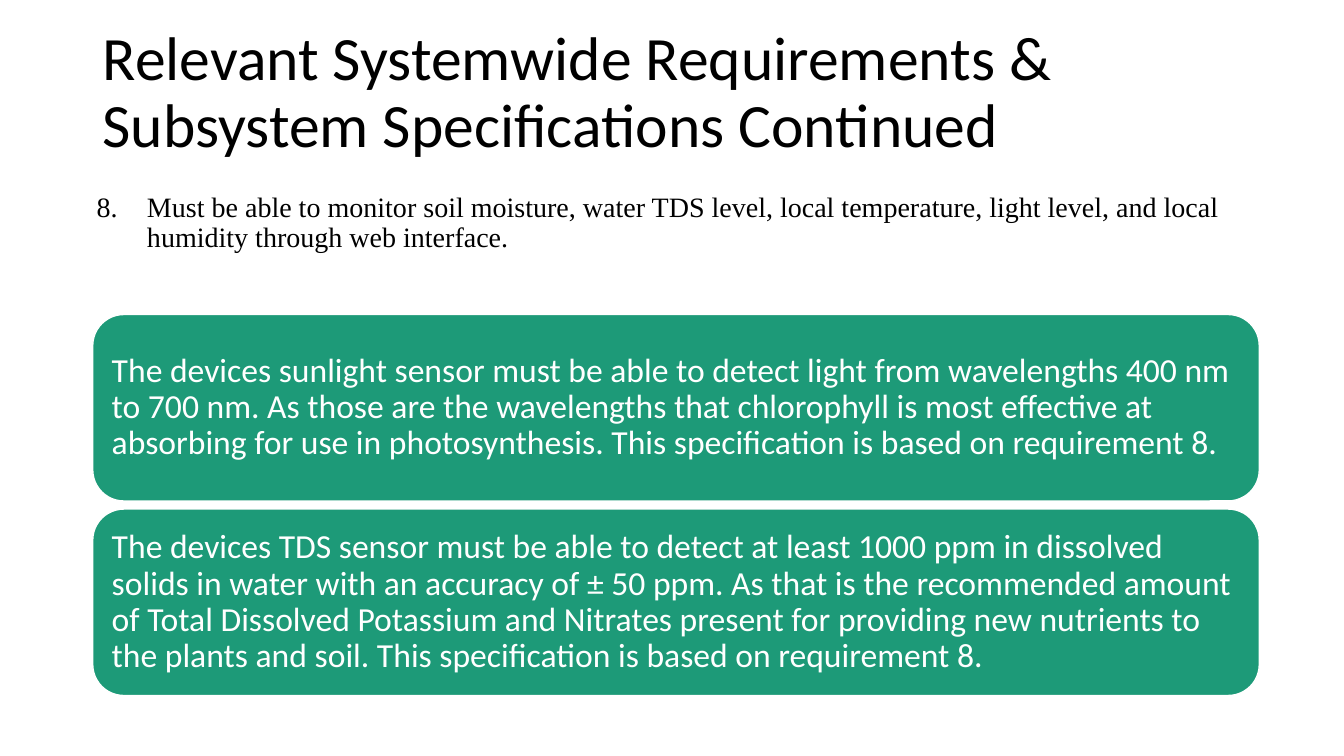
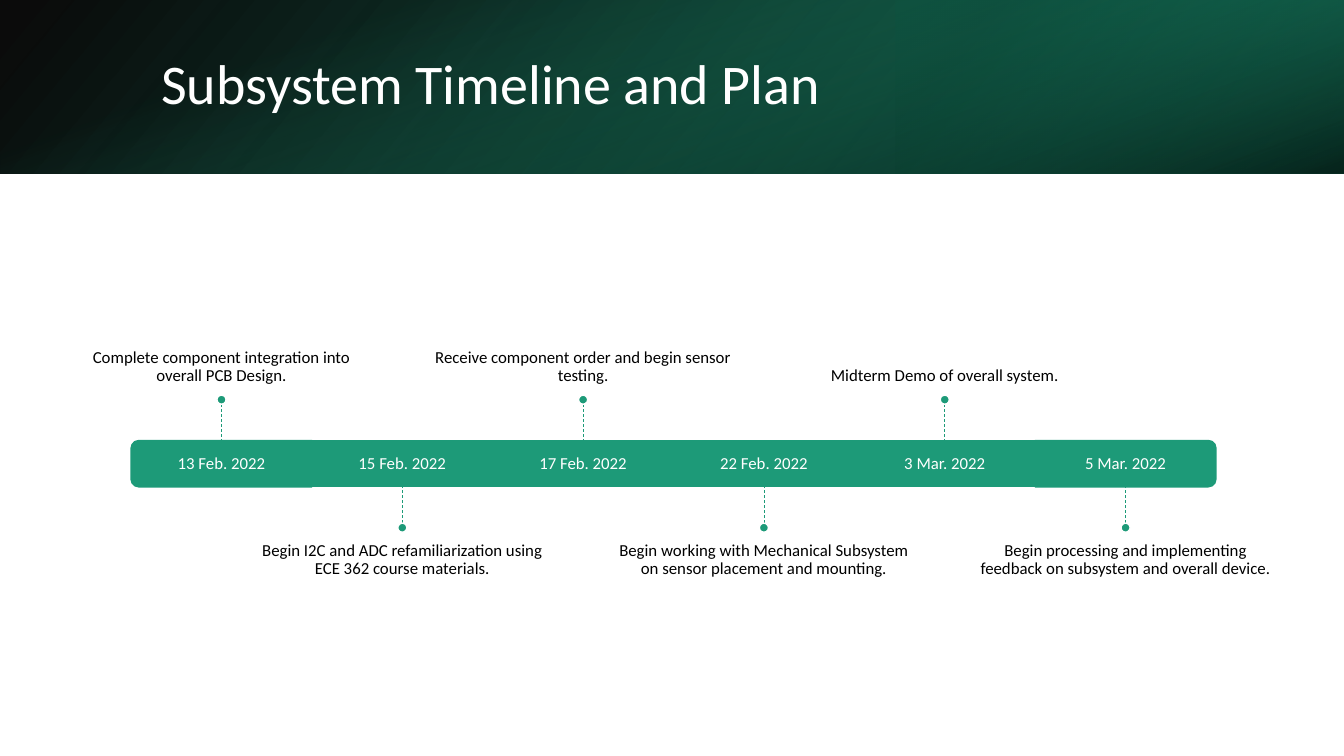
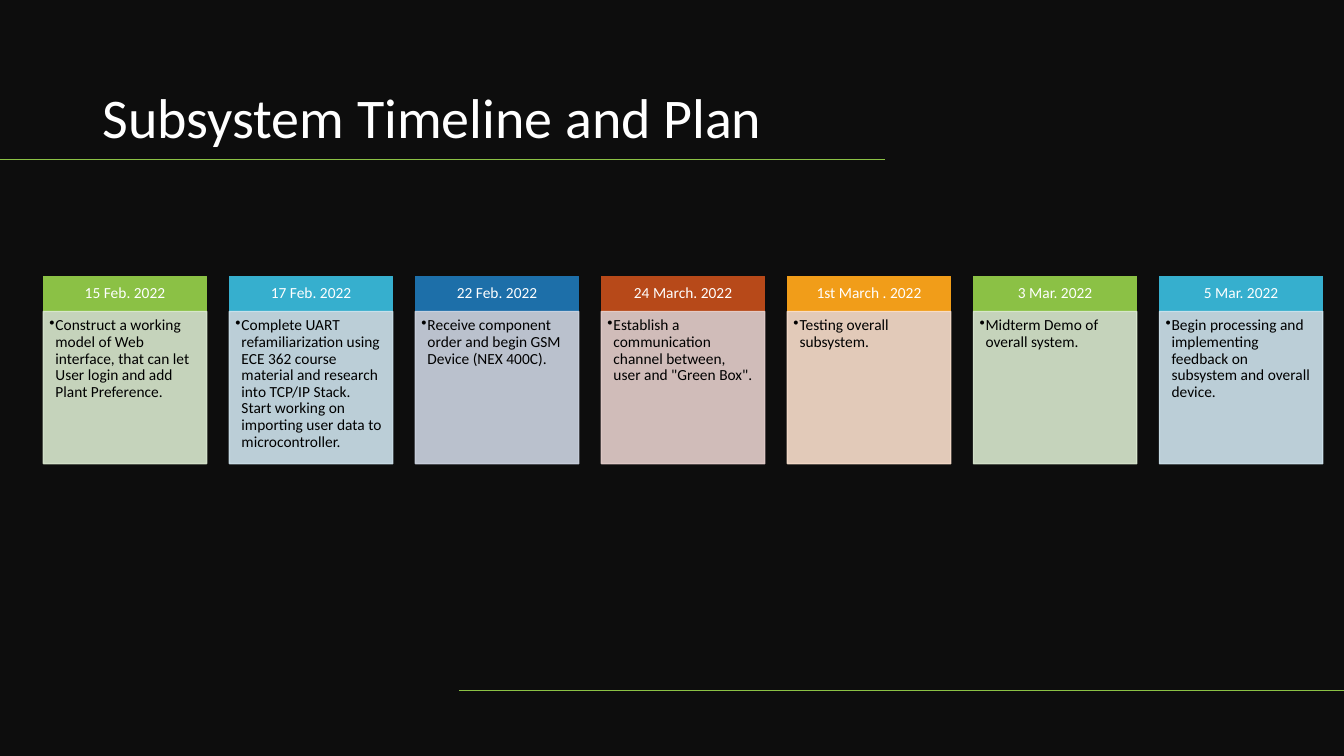
import dataclasses

import lxml.etree
import pptx
import pptx.dml.color
import pptx.enum.dml
import pptx.enum.shapes
import pptx.enum.text
import pptx.oxml.ns
import pptx.util

RGBColor = pptx.dml.color.RGBColor
SHAPE = pptx.enum.shapes.MSO_SHAPE
ANCHOR = pptx.enum.text.MSO_ANCHOR
ALIGN = pptx.enum.text.PP_ALIGN
Inches = pptx.util.Inches
qn = pptx.oxml.ns.qn

BLACK = RGBColor(0x00, 0x00, 0x00)
WHITE = RGBColor(0xFF, 0xFF, 0xFF)
NIGHT = RGBColor(0x0D, 0x0D, 0x0D)
GREEN = RGBColor(0x1D, 0x9A, 0x78)
MID_GREEN = RGBColor(0x16, 0x74, 0x5A)
DEEP_GREEN = RGBColor(0x0E, 0x4D, 0x3C)
LIME = RGBColor(0x8B, 0xC1, 0x45)
PALE_LIME = RGBColor(0xDA, 0xE9, 0xCF)
CYAN = RGBColor(0x36, 0xAF, 0xCE)
PALE_CYAN = RGBColor(0xCE, 0xE3, 0xED)
BLUE = RGBColor(0x1D, 0x6F, 0xA9)
PALE_BLUE = RGBColor(0xCD, 0xD5, 0xE2)
RUST = RGBColor(0xB7, 0x49, 0x19)
PALE_RUST = RGBColor(0xE6, 0xD0, 0xCC)
ORANGE = RGBColor(0xF1, 0x9D, 0x19)
PALE_ORANGE = RGBColor(0xFA, 0xDF, 0xCC)
CARD_COLOURS = [(LIME, PALE_LIME), (CYAN, PALE_CYAN), (BLUE, PALE_BLUE),
                (RUST, PALE_RUST), (ORANGE, PALE_ORANGE)]

BODY_FONT = "Calibri"
LIST_FONT = "Times New Roman"
DEFAULT_INSETS = (0.1, 0.05, 0.1, 0.05)

REQUIREMENT = ("Must be able to monitor soil moisture, water TDS level, local temperature, "
               "light level, and local humidity through web interface.")
SPECIFICATIONS = [
    "The devices sunlight sensor must be able to detect light from wavelengths 400 nm to "
    "700 nm. As those are the wavelengths that chlorophyll is most effective at absorbing "
    "for use in photosynthesis. This specification is based on requirement 8.",
    "The devices TDS sensor must be able to detect at least 1000 ppm in dissolved solids in "
    "water with an accuracy of ± 50 ppm. As that is the recommended amount of Total Dissolved "
    "Potassium and Nitrates present for providing new nutrients to the plants and soil. This "
    "specification is based on requirement 8.",
]
SENSOR_EVENTS = [
    ("13 Feb. 2022", "Complete component integration into overall PCB Design."),
    ("15 Feb. 2022", "Begin I2C and ADC refamiliarization using ECE 362 course materials."),
    ("17 Feb. 2022", "Receive component order and begin sensor testing."),
    ("22 Feb. 2022", "Begin working with Mechanical Subsystem on sensor placement and mounting."),
    ("3 Mar. 2022", "Midterm Demo of overall system."),
    ("5 Mar. 2022", "Begin processing and implementing feedback on subsystem and overall device."),
]
INTERFACE_EVENTS = [
    ("15 Feb. 2022", "Construct a working model of Web interface, that can let User login "
                     "and add Plant Preference."),
    ("17 Feb. 2022", "Complete UART refamiliarization using ECE 362 course material and "
                     "research into TCP/IP Stack. Start working on importing user data to "
                     "microcontroller."),
    ("22 Feb. 2022", "Receive component order and begin GSM Device (NEX 400C)."),
    ("24 March. 2022", 'Establish a communication channel between, user and "Green Box".'),
    ("1st March . 2022", "Testing overall subsystem."),
    ("3 Mar. 2022", "Midterm Demo of overall system."),
    ("5 Mar. 2022", "Begin processing and implementing feedback on subsystem and overall device."),
]


@dataclasses.dataclass
class Box:
    """A region on a grid whose columns and rows are one inch."""
    left: float
    top: float
    width: float
    height: float

    @property
    def right(self):
        return self.left + self.width

    @property
    def bottom(self):
        return self.top + self.height

    @property
    def centre(self):
        return self.left + self.width / 2

    def emu(self):
        return [Inches(n) for n in (self.left, self.top, self.width, self.height)]

    def columns(self, count, width):
        """Equal columns of the given width, spread from edge to edge."""
        pitch = (self.width - width) / (count - 1)
        return [Box(self.left + i * pitch, self.top, width, self.height) for i in range(count)]

    def rows(self, count, height):
        pitch = (self.height - height) / (count - 1)
        return [Box(self.left, self.top + i * pitch, self.width, height) for i in range(count)]

    def split(self, height):
        return (Box(self.left, self.top, self.width, height),
                Box(self.left, self.top + height, self.width, self.height - height))

    def turned(self):
        """The unrotated frame that fills this box after a quarter turn."""
        middle = self.top + self.height / 2
        return Box(self.centre - self.height / 2, middle - self.width / 2,
                   self.height, self.width)


PAGE = Box(0, 0, 13.33, 7.5)


def set_opacity(colour, percent):
    lxml.etree.SubElement(colour, qn("a:alpha")).set("val", str(percent * 1000))


def add_block(slide, box, fill=None, line=None, kind=SHAPE.RECTANGLE, rotation=0):
    block = slide.shapes.add_shape(kind, *box.emu())
    block.shadow.inherit = False
    block.rotation = rotation
    if fill is not None:
        block.fill.solid()
        block.fill.fore_color.rgb = fill
    if line is None:
        block.line.fill.background()
    else:
        block.line.color.rgb = line
        block.line.width = pptx.util.Pt(1)
    return block


def add_rule(slide, start, end, colour, width=1):
    rule = slide.shapes.add_connector(pptx.enum.shapes.MSO_CONNECTOR.STRAIGHT,
                                      *[Inches(n) for n in (*start, *end)])
    rule.line.color.rgb = colour
    rule.line.width = pptx.util.Pt(width)
    lxml.etree.SubElement(rule.element.spPr, qn("a:effectLst"))
    return rule


def write(holder, text, size, colour, font=BODY_FONT, align=ALIGN.LEFT, anchor=ANCHOR.MIDDLE,
          insets=DEFAULT_INSETS, indent=0, bullet=None):
    """Put one paragraph in a shape; bullet is a tag with its attributes."""
    frame = holder.text_frame
    frame.word_wrap = True
    frame.vertical_anchor = anchor
    (frame.margin_left, frame.margin_top,
     frame.margin_right, frame.margin_bottom) = [Inches(n) for n in insets]
    paragraph = frame.paragraphs[0]
    paragraph.text = text
    paragraph.alignment = align
    paragraph.line_spacing = 0.9
    if bullet:
        tag, attributes = bullet
        properties = paragraph._p.get_or_add_pPr()
        properties.set("marL", str(Inches(indent)))
        properties.set("indent", str(-Inches(indent)))
        lxml.etree.SubElement(properties, qn(tag), attributes)
    paragraph.font.name = font
    paragraph.font.size = pptx.util.Pt(size)
    paragraph.font.color.rgb = colour


def add_text(slide, box, text, size, colour, **style):
    write(slide.shapes.add_textbox(*box.emu()), text, size, colour, **style)


def add_title(slide, box, text, size=40, colour=WHITE, anchor=ANCHOR.MIDDLE):
    add_text(slide, box, text, size, colour, anchor=anchor)


def add_gradient(slide, box, stops, angle, rotation=0, flipped=False):
    """Stops are position, colour and opacity; the angle runs clockwise."""
    layer = add_block(slide, box, rotation=rotation)
    layer.fill.gradient()
    layer.fill.gradient_angle = 360 - angle
    for stop, (position, colour, opacity) in zip(layer.fill.gradient_stops, stops):
        stop.position = position
        stop.color.rgb = colour
    colours = layer.element.spPr.find(qn("a:gradFill")).iter(qn("a:srgbClr"))
    for colour, (_, _, opacity) in zip(colours, stops):
        set_opacity(colour, opacity)
    if flipped:
        layer.element.spPr.find(qn("a:xfrm")).set("flipH", "1")


def add_header_band(slide, box):
    add_gradient(slide, box, [(0, BLACK, 96), (1, MID_GREEN, 100)], 140, flipped=True)
    right_third = Box(box.left + box.width * 2 / 3, box.top, box.width / 3, box.height)
    add_gradient(slide, right_third, [(0.19, DEEP_GREEN, 68), (1, GREEN, 79)], 320,
                 rotation=180, flipped=True)
    add_gradient(slide, box.turned(), [(0.23, GREEN, 0), (0.99, BLACK, 74)], 340, rotation=90)


def add_specifications(slide, box, specifications):
    for row, text in zip(box.rows(len(specifications), 1.85), specifications):
        panel = add_block(slide, row, GREEN, WHITE, SHAPE.ROUNDED_RECTANGLE)
        write(panel, text, 24, WHITE, insets=(0.1, 0.1, 0.1, 0.1))


def add_date(slide, cell, date, end_rotation):
    """One cell of the bar; an end cell is rounded on its outer side."""
    if end_rotation:
        add_block(slide, cell.turned(), GREEN, GREEN, SHAPE.ROUND_2_SAME_RECTANGLE, end_rotation)
        holder = slide.shapes.add_textbox(*cell.emu())
    else:
        holder = add_block(slide, cell, GREEN, GREEN)
    write(holder, date, 12, WHITE, align=ALIGN.CENTER, insets=(0.1, 0.1, 0.1, 0.1))


def add_event(slide, cell, caption, above):
    stem, dot, caption_width, caption_height = 0.36, 0.09, 2.99, 1.6
    edge, side = (cell.top, -1) if above else (cell.bottom, 1)
    tip = edge + side * stem
    far = tip + side * dot
    caption_box = Box(cell.centre - caption_width / 2, far - caption_height if above else far,
                      caption_width, caption_height)
    add_text(slide, caption_box, caption, 12, BLACK, align=ALIGN.CENTER,
             anchor=ANCHOR.BOTTOM if above else ANCHOR.TOP,
             insets=(0, 0, 0, 0.1) if above else (0, 0.1, 0, 0))
    leader = add_rule(slide, (cell.centre, tip), (cell.centre, edge), GREEN, 0.5)
    leader.line.dash_style = pptx.enum.dml.MSO_LINE.DASH
    add_block(slide, Box(cell.centre - dot / 2, min(tip, far), dot, dot),
              GREEN, WHITE, SHAPE.OVAL)


def add_timeline(slide, bar, events):
    last = len(events) - 1
    cells = bar.columns(len(events), bar.width / len(events))
    for index, (cell, (date, caption)) in enumerate(zip(cells, events)):
        add_date(slide, cell, date, {0: 270, last: 90}.get(index))
        add_event(slide, cell, caption, above=index % 2 == 0)


def add_card(slide, box, date, task, strong, pale):
    head, body = box.split(0.35)
    write(add_block(slide, head, strong, strong), date, 11, WHITE, align=ALIGN.CENTER,
          insets=(0.09, 0.05, 0.09, 0.05))
    panel = add_block(slide, body, pale, pale)
    for colour in panel.element.spPr.iter(qn("a:srgbClr")):
        set_opacity(colour, 90)
    write(panel, task, 11, BLACK, anchor=ANCHOR.TOP, insets=(0.06, 0.06, 0.09, 0.1),
          indent=0.06, bullet=("a:buChar", {"char": "•"}))


def add_cards(slide, box, events):
    for index, (column, event) in enumerate(zip(box.columns(len(events), 1.62), events)):
        add_card(slide, column, *event, *CARD_COLOURS[index % len(CARD_COLOURS)])


def build_requirements(slide):
    add_title(slide, Box(0.92, 0, 11.51, 1.87),
              "Relevant Systemwide Requirements & Subsystem Specifications Continued", 44, BLACK)
    add_text(slide, Box(0.86, 1.87, 11.57, 0.74), REQUIREMENT, 20, BLACK, font=LIST_FONT,
             anchor=ANCHOR.TOP, indent=0.5,
             bullet=("a:buAutoNum", {"type": "arabicPeriod", "startAt": "8"}))
    add_specifications(slide, Box(0.92, 3.12, 11.57, 3.78), SPECIFICATIONS)


def build_sensor_plan(slide):
    add_header_band(slide, Box(0, 0, PAGE.width, 1.72))
    add_title(slide, Box(1.5, 0.38, 10.98, 0.96), "Subsystem Timeline and Plan")
    add_timeline(slide, Box(1.3, 4.37, 10.76, 0.46), SENSOR_EVENTS)


def build_interface_plan(slide):
    add_block(slide, PAGE, NIGHT)
    add_title(slide, Box(0.92, 0.42, 7.86, 1.12), "Subsystem Timeline and Plan",
              anchor=ANCHOR.BOTTOM)
    rule_length = 8.78
    add_rule(slide, (rule_length, 1.58), (0, 1.58), LIME)
    add_rule(slide, (PAGE.right, 6.85), (PAGE.right - rule_length, 6.85), LIME)
    add_cards(slide, Box(0.43, 2.74, 12.69, 1.86), INTERFACE_EVENTS)


def main():
    deck = pptx.Presentation()
    deck.slide_width, deck.slide_height = Inches(PAGE.width), Inches(PAGE.height)
    blank = deck.slide_layouts[6]
    for build in (build_requirements, build_sensor_plan, build_interface_plan):
        build(deck.slides.add_slide(blank))
    deck.save("out.pptx")


if __name__ == "__main__":
    main()
